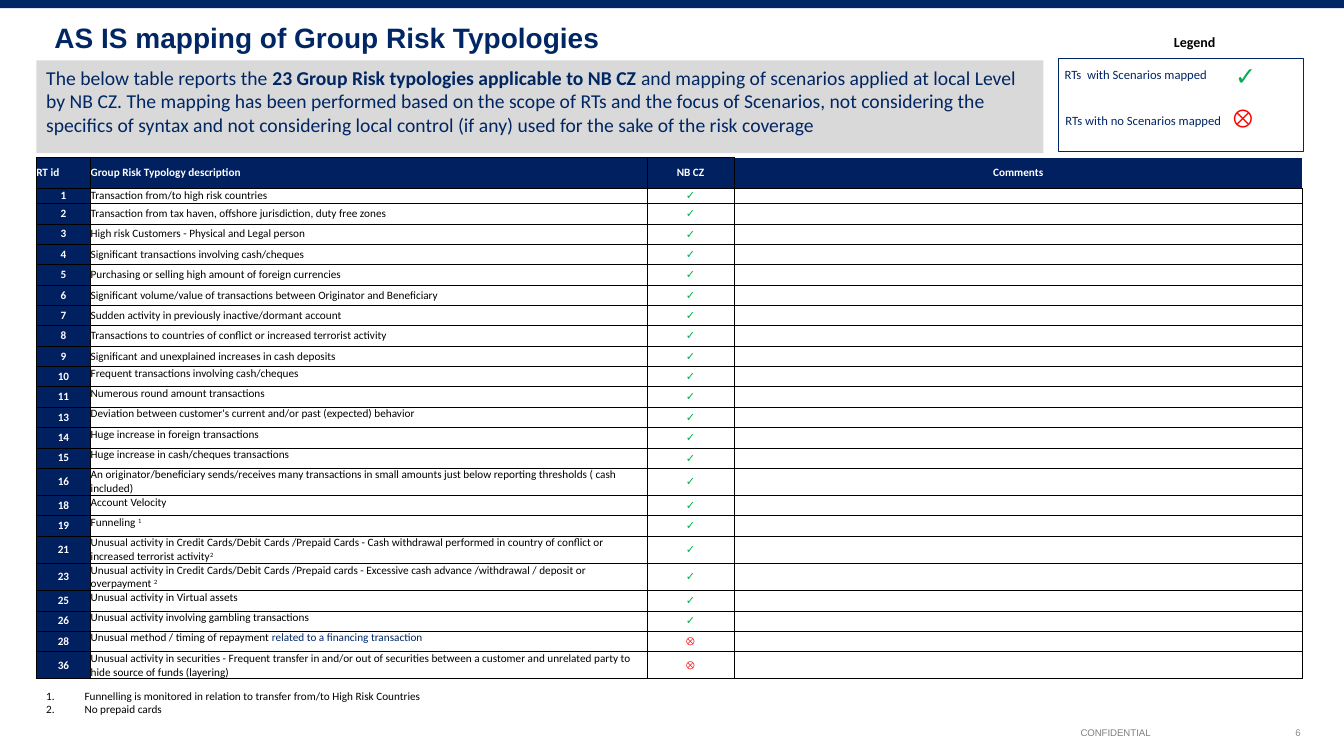
from dataclasses import dataclass
from lxml.etree import SubElement
from pptx import Presentation
from pptx.dml.color import RGBColor
from pptx.enum.shapes import MSO_SHAPE
from pptx.enum.text import MSO_ANCHOR as Anchor, MSO_AUTO_SIZE as AutoSize, PP_ALIGN as Align
from pptx.oxml import parse_xml
from pptx.oxml.ns import nsdecls, qn
from pptx.util import Inches, Pt


@dataclass(frozen=True)
class Theme:
    bar: str = "002664"
    navy: str = "002663"
    header: str = "002060"
    panel: str = "D9D9D9"
    white: str = "FFFFFF"
    black: str = "000000"
    green: str = "00B050"
    red: str = "FF0000"
    confidential: str = "7F7F7F"
    page: str = "898989"
    title: float = 20
    intro: float = 14
    symbol: float = 18
    heading: float = 10
    label: float = 9
    table: float = 8
    footer: float = 6.9


@dataclass(frozen=True)
class Box:
    left: float
    top: float
    width: float
    height: float

    def inner(self, left, top, width, height):
        return Box(self.left + left * self.width, self.top + top * self.height,
                   width * self.width, height * self.height)

    def lengths(self):
        return [int(share * side / 100) for share, side in (
            (self.left, WIDTH), (self.top, HEIGHT), (self.width, WIDTH), (self.height, HEIGHT))]


THEME = Theme()
WIDTH, HEIGHT = Inches(13.33), Inches(7.5)
NO_INSETS = dict(margin_left=0, margin_top=0, margin_right=0, margin_bottom=0)
TICK, CROSS = ("✓", THEME.green), ("⊗", THEME.red)
COLUMN_SHARES = (4.3, 43.95, 6.85, 44.9)
HEADINGS = ("RT id", "Group Risk Typology description", "NB CZ", "Comments")
HEADER_HEIGHT, FIRST_HEIGHT, DOUBLE_HEIGHT = Inches(0.31), Inches(0.15), Inches(0.27)
DOUBLE_ROWS = {16, 21, 23, 36}
UNMAPPED = {28, 36}
LAST_CENTRED = 9
TYPOLOGIES = {
    1: "Transaction from/to high risk countries",
    2: "Transaction from tax haven, offshore jurisdiction, duty free zones",
    3: "High risk Customers - Physical and Legal person",
    4: "Significant transactions involving cash/cheques",
    5: "Purchasing or selling high amount of foreign currencies",
    6: "Significant volume/value of transactions between Originator and Beneficiary",
    7: "Sudden activity in previously inactive/dormant account",
    8: "Transactions to countries of conflict or increased terrorist activity",
    9: "Significant and unexplained increases in cash deposits",
    10: "Frequent transactions involving cash/cheques",
    11: "Numerous round amount transactions",
    13: "Deviation between customer's current and/or past (expected) behavior",
    14: "Huge increase in foreign transactions",
    15: "Huge increase in cash/cheques transactions",
    16: "An originator/beneficiary sends/receives many transactions in small amounts just below "
        "reporting thresholds ( cash included)",
    18: "Account Velocity",
    19: "Funneling ",
    21: "Unusual activity in Credit Cards/Debit Cards /Prepaid Cards - Cash withdrawal performed "
        "in country of conflict or increased terrorist activity",
    23: "Unusual activity in Credit Cards/Debit Cards /Prepaid cards - Excessive cash advance "
        "/withdrawal / deposit or overpayment ",
    25: "Unusual activity in Virtual assets",
    26: "Unusual activity involving gambling transactions",
    28: "Unusual method / timing of repayment ",
    36: "Unusual activity in securities - Frequent transfer in and/or out of securities between "
        "a customer and unrelated party to hide source of funds (layering)",
}
ENDINGS = {
    19: ("1", dict(baseline=30000)),
    21: ("2", dict(baseline=30000)),
    23: ("2", dict(baseline=30000)),
    28: ("related to a financing transaction", dict(color=THEME.navy)),
}


def apply(target, formats):
    for name, value in formats.items():
        setattr(target, name, value)


def write(paragraph, runs, size, color, name="Calibri", bold=False, **formats):
    apply(paragraph, formats)
    for text, changes in runs:
        run = paragraph.add_run()
        run.text = text
        look = dict(name=name, bold=bold, color=color, baseline=0) | changes
        apply(run.font, dict(name=look["name"], bold=look["bold"], size=Pt(size)))
        run.font.color.rgb = RGBColor.from_string(look["color"])
        if look["baseline"]:
            run._r.get_or_add_rPr().set("baseline", str(look["baseline"]))


def add_panel(slide, box, fill=None, line=None):
    shape = slide.shapes.add_shape(MSO_SHAPE.RECTANGLE, *box.lengths())
    shape.shadow.inherit = False
    shape.fill.background()
    shape.line.fill.background()
    if fill:
        shape.fill.solid()
        shape.fill.fore_color.rgb = RGBColor.from_string(fill)
    if line:
        shape.line.color.rgb = RGBColor.from_string(line)
        shape.line.width = Pt(0.25)
    apply(shape.text_frame, dict(word_wrap=True, vertical_anchor=Anchor.TOP))
    return shape


def add_text(slide, box, text, size, color, anchor=Anchor.TOP, **formats):
    frame = slide.shapes.add_textbox(*box.lengths()).text_frame
    apply(frame, dict(word_wrap=True, vertical_anchor=anchor))
    write(frame.paragraphs[0], [(text, {})], size, color, **formats)


def fill_title(slide, box):
    title = slide.shapes.title
    apply(title, dict(zip(("left", "top", "width", "height"), box.lengths())))
    apply(title.text_frame, dict(word_wrap=True, auto_size=AutoSize.NONE, vertical_anchor=Anchor.TOP,
                                 margin_top=Inches(0.2)))
    write(title.text_frame.paragraphs[0], [("AS IS mapping of Group Risk Typologies", {})],
          THEME.title, THEME.navy, name="Arial", bold=True, alignment=Align.LEFT)


def add_intro(slide, box):
    panel = add_panel(slide, box, THEME.panel)
    runs = [("The below table reports the ", {}),
            ("23 Group Risk typologies applicable to NB CZ ", dict(bold=True)),
            ("and mapping of scenarios applied at local Level by NB CZ. The mapping has been performed "
             "based on the scope of RTs and the focus of Scenarios, not considering the specifics of "
             "syntax and not considering local control (if any) used for the sake of the risk coverage", {})]
    write(panel.text_frame.paragraphs[0], runs, THEME.intro, THEME.navy,
          alignment=Align.LEFT, space_after=Pt(12))


def add_legend(slide, box):
    add_text(slide, box.inner(0.43, -0.32, 0.28, 0.29), "Legend", THEME.heading, THEME.black, bold=True)
    entries = (
        ("RTs  with Scenarios mapped ", (-0.05, 0.09, 0.74, 0.16), {}, TICK, (0.68, -0.03, 0.17, 0.43)),
        ("RTs with no Scenarios mapped", (-0.02, 0.52, 0.73, 0.21), dict(line_spacing=Pt(15.4)),
         CROSS, (0.66, 0.42, 0.23, 0.43)))
    for text, label_shares, formats, (symbol, color), symbol_shares in entries:
        label = add_panel(slide, box.inner(*label_shares), THEME.white)
        apply(label.text_frame, NO_INSETS)
        write(label.text_frame.paragraphs[0], [(text, {})], THEME.label, THEME.bar,
              alignment=Align.CENTER, **formats)
        add_text(slide, box.inner(*symbol_shares), symbol, THEME.symbol, color, name="Arial", bold=True)
    add_panel(slide, box, line=THEME.navy)


def fill_cell(cell, runs, color, fill=None, anchor=Anchor.MIDDLE, sides="LRTB", **formats):
    apply(cell, NO_INSETS | dict(vertical_anchor=anchor))
    cell.fill.background()
    if fill:
        cell.fill.solid()
        cell.fill.fore_color.rgb = RGBColor.from_string(fill)
    for place, side in enumerate(sides):
        cell._tc.get_or_add_tcPr().insert(place, parse_xml(
            f'<a:ln{side} {nsdecls("a")} w="6350"><a:solidFill>'
            f'<a:srgbClr val="{THEME.black}"/></a:solidFill></a:ln{side}>'))
    paragraph = cell.text_frame.paragraphs[0]
    write(paragraph, runs, THEME.table, color, **formats)
    if not runs:
        SubElement(paragraph._p, qn("a:endParaRPr"), sz=str(THEME.table * 100))


def add_typology_table(slide, box):
    left, top, width, height = box.lengths()
    table = slide.shapes.add_table(len(TYPOLOGIES) + 1, len(HEADINGS), left, top, width, height).table
    apply(table, dict(first_row=False, horz_banding=False))
    for column, share in zip(table.columns, COLUMN_SHARES):
        column.width = int(width * share / 100)
    special = {1: FIRST_HEIGHT} | dict.fromkeys(DOUBLE_ROWS, DOUBLE_HEIGHT)
    single = int((height - HEADER_HEIGHT - sum(special.values())) / (len(TYPOLOGIES) - len(special)))
    table.rows[0].height = HEADER_HEIGHT
    head = dict(color=THEME.white, fill=THEME.header, bold=True)
    for index, heading in enumerate(HEADINGS):
        fill_cell(table.cell(0, index), [(heading, {})], sides="LB" if heading == "Comments" else "LRTB",
                  alignment=Align.LEFT if index < 2 else Align.CENTER, **head)
    for row, (number, description) in enumerate(TYPOLOGIES.items(), 1):
        table.rows[row].height = special.get(number, single)
        identifier, text, mark, comment = (table.cell(row, index) for index in range(len(HEADINGS)))
        fill_cell(identifier, [(str(number), {})], alignment=Align.CENTER, **head)
        runs = [(description, {})] + ([ENDINGS[number]] if number in ENDINGS else [])
        fill_cell(text, runs, THEME.black, anchor=Anchor.MIDDLE if number <= LAST_CENTRED else Anchor.TOP)
        symbol, color = CROSS if number in UNMAPPED else TICK
        fill_cell(mark, [(symbol, {})], color, name="Arial", bold=True, alignment=Align.CENTER)
        fill_cell(comment, [], THEME.black)


def add_footnotes(slide, box):
    frame = slide.shapes.add_textbox(*box.lengths()).text_frame
    frame.word_wrap = True
    notes = ("Funnelling is monitored in relation to transfer from/to High Risk Countries", "No prepaid cards")
    for index, note in enumerate(notes):
        paragraph = frame.add_paragraph() if index else frame.paragraphs[0]
        properties = paragraph._p.get_or_add_pPr()
        properties.set("marL", str(Inches(0.38)))
        properties.set("indent", str(-Inches(0.38)))
        SubElement(properties, qn("a:buAutoNum"), type="arabicPeriod")
        write(paragraph, [(note, {})], THEME.table, THEME.black)


def add_footer(slide, confidential_box, page_box):
    add_text(slide, page_box, "6", THEME.footer, THEME.page, Anchor.MIDDLE, name="Arial", alignment=Align.RIGHT)
    add_text(slide, confidential_box, "CONFIDENTIAL", THEME.footer, THEME.confidential,
             name="Arial", alignment=Align.CENTER)


def main():
    presentation = Presentation()
    apply(presentation, dict(slide_width=WIDTH, slide_height=HEIGHT))
    slide = presentation.slides.add_slide(presentation.slide_layouts[5])
    add_footer(slide, Box(71.87, 95.47, 22.28, 2.93), Box(74.19, 94.27, 23.33, 5.33))
    add_panel(slide, Box(0, 0, 100, 1.07), THEME.bar)
    fill_title(slide, Box(3.3, 0, 93.32, 9.73))
    add_intro(slide, Box(2.7, 8, 74.94, 12.27))
    add_legend(slide, Box(78.77, 7.73, 18.23, 12.27))
    add_footnotes(slide, Box(2.7, 90.53, 74.42, 4.93))
    add_typology_table(slide, Box(2.7, 20.8, 94.22, 69.07))
    presentation.save("out.pptx")


if __name__ == "__main__":
    main()
